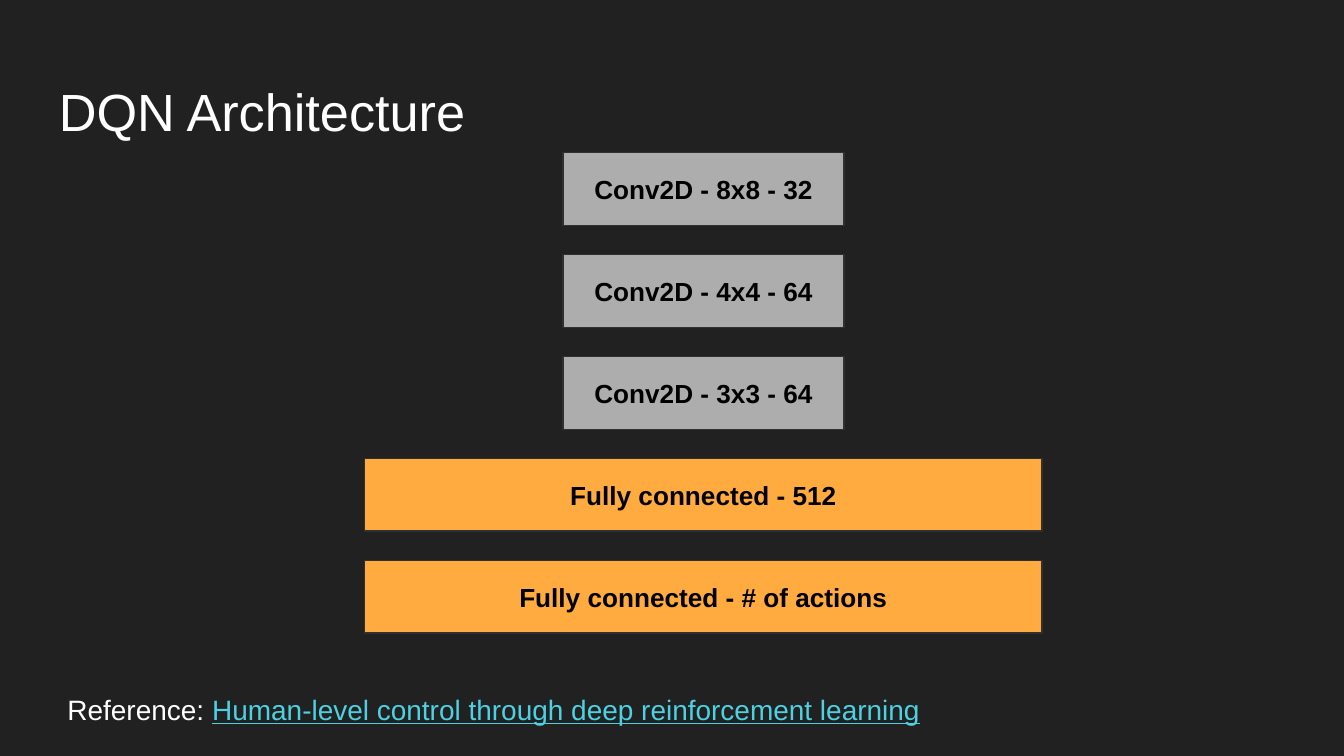
from dataclasses import dataclass

from pptx import Presentation
from pptx.dml.color import RGBColor
from pptx.enum.shapes import MSO_SHAPE
from pptx.enum.text import MSO_ANCHOR, PP_ALIGN
from pptx.slide import Slide
from pptx.text.text import TextFrame, _Paragraph
from pptx.util import Pt

COLORS = {
    "background": "212121",
    "text": "FFFFFF",
    "link": "4DD0E1",
    "convolution": "ADADAD",
    "dense": "FFAB40",
    "outline": "303030",
    "label": "000000",
}
FONT = "Arial"
INSET = 7.2

# Layer stack, in points
STACK_CENTER = 376.9
STACK_TOP = 81.9
STACK_STEP = 54.6
LAYER_HEIGHT = 38.9
LAYER_WIDTHS = {"convolution": 150.5, "dense": 362.9}


@dataclass
class Layer:
    label: str
    kind: str


LAYERS = [
    Layer("Conv2D - 8x8 - 32", "convolution"),
    Layer("Conv2D - 4x4 - 64", "convolution"),
    Layer("Conv2D - 3x3 - 64", "convolution"),
    Layer("Fully connected - 512", "dense"),
    Layer("Fully connected - # of actions", "dense"),
]


def color(name: str) -> RGBColor:
    return RGBColor.from_string(COLORS[name])


def set_frame(frame: TextFrame, anchor: MSO_ANCHOR) -> None:
    frame.word_wrap = True
    frame.vertical_anchor = anchor
    frame.margin_left = frame.margin_right = Pt(INSET)
    frame.margin_top = frame.margin_bottom = Pt(INSET)


def add_span(para: _Paragraph, text: str, size: float, color_name: str,
             bold: bool = False, underline: bool = False) -> None:
    span = para.add_run()
    span.text = text
    span.font.name = FONT
    span.font.size = Pt(size)
    span.font.bold = bold
    span.font.underline = underline
    span.font.color.rgb = color(color_name)


def add_text_box(page: Slide, left: float, top: float, width: float,
                 height: float) -> _Paragraph:
    box = page.shapes.add_textbox(Pt(left), Pt(top), Pt(width), Pt(height))
    set_frame(box.text_frame, MSO_ANCHOR.TOP)
    return box.text_frame.paragraphs[0]


def add_layer(page: Slide, layer: Layer, top: float) -> None:
    width = LAYER_WIDTHS[layer.kind]
    box = page.shapes.add_shape(MSO_SHAPE.RECTANGLE, Pt(STACK_CENTER - width / 2),
                                Pt(top), Pt(width), Pt(LAYER_HEIGHT))
    box.shadow.inherit = False
    box.fill.solid()
    box.fill.fore_color.rgb = color(layer.kind)
    box.line.color.rgb = color("outline")
    box.line.width = Pt(0.75)
    set_frame(box.text_frame, MSO_ANCHOR.MIDDLE)
    para = box.text_frame.paragraphs[0]
    para.alignment = PP_ALIGN.CENTER
    add_span(para, layer.label, 14, "label", bold=True)


def main() -> None:
    deck = Presentation()
    deck.slide_width, deck.slide_height = Pt(720), Pt(405)
    page = deck.slides.add_slide(deck.slide_layouts[6])
    page.background.fill.solid()
    page.background.fill.fore_color.rgb = color("background")

    # Title
    title = add_text_box(page, 24.5, 35, 671, 45.1)
    add_span(title, "DQN Architecture", 28, "text")

    # Network layers, top to bottom
    for index, layer in enumerate(LAYERS):
        add_layer(page, layer, STACK_TOP + index * STACK_STEP)

    # Reference
    reference = add_text_box(page, 29, 356.4, 671, 38.9)
    reference.line_spacing = 1.4
    add_span(reference, "Reference: ", 15, "text")
    add_span(reference, "Human-level control through deep reinforcement learning",
             15, "link", underline=True)

    deck.save("out.pptx")


if __name__ == "__main__":
    main()
